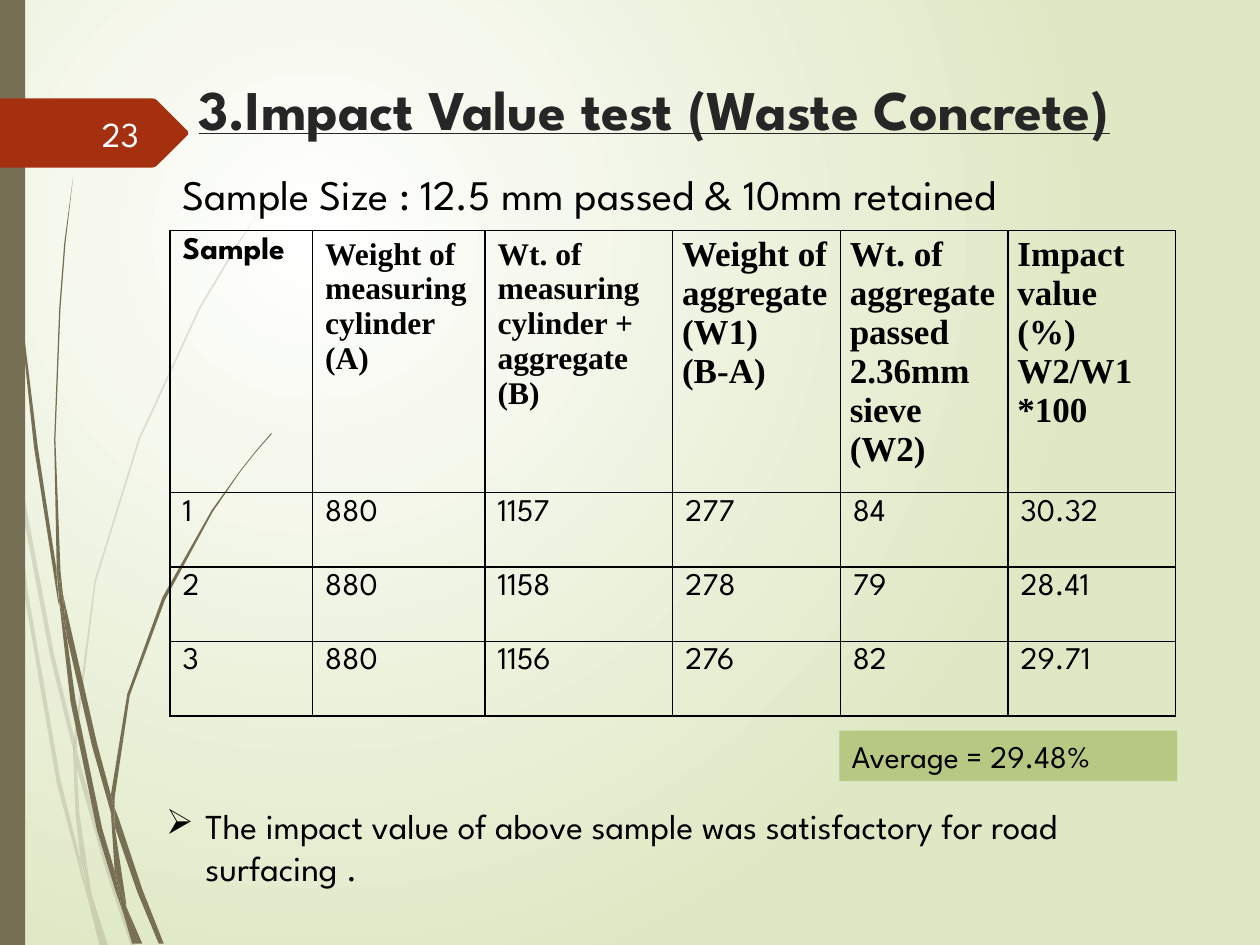
from pptx import Presentation
from pptx.dml.color import RGBColor
from pptx.enum.shapes import MSO_SHAPE
from pptx.enum.text import MSO_ANCHOR, PP_ALIGN
from pptx.oxml import parse_xml
from pptx.oxml.ns import nsdecls, qn
from pptx.util import Cm, Pt

WHITE = RGBColor(0xFF, 0xFF, 0xFF)
PALE_GREEN = RGBColor(0xDF, 0xE8, 0xC4)
LEAF_GREEN = RGBColor(0xB6, 0xC8, 0x82)
OLIVE = RGBColor(0x76, 0x6F, 0x54)
RUST = RGBColor(0xA5, 0x30, 0x10)
CHARCOAL = RGBColor(0x26, 0x26, 0x26)
BLACK = RGBColor(0, 0, 0)
NUMBER_WHITE = RGBColor(0xFE, 0xFF, 0xFF)
SANS = "League Spartan"
SERIF = "Times New Roman"
OUTLINE_UNIT = Cm(0.0254)

FAINT_BLADES = [
    [(8, 350), (6, 322), (0, 282), (0, 299), (7, 344)],
    [(40, 522), (59, 599), (59, 586), (43, 520), (10, 345), (12, 376)],
    [(64, 607), (61, 596), (61, 610), (85, 694), (104, 751), (108, 751), (88, 692)],
    [(83, 751), (86, 751), (73, 711)],
    [(64, 683), (48, 619), (22, 469), (12, 376), (8, 350), (19, 470), (45, 621),
     (64, 693), (70, 714), (69, 707)],
    [(58, 599), (60, 646), (64, 683), (67, 692), (73, 711), (72, 706), (63, 646),
     (61, 610), (61, 608)],
    [(61, 584), (76, 462), (111, 349), (159, 245), (187, 198), (201, 175), (217, 154),
     (217, 153), (201, 175), (186, 197), (158, 244), (110, 348), (75, 461), (59, 584),
     (59, 586), (61, 596)],
    [(70, 714), (79, 751), (82, 751)],
    [(61, 608), (61, 610), (61, 596), (59, 586), (58, 599)],
    [(67, 692), (65, 683), (69, 707), (70, 714), (82, 751), (83, 751), (73, 711)],
]
DARK_BLADES = [
    [(5, 110), (14, 233), (27, 355), (46, 477), (47, 481), (45, 457), (45, 453),
     (30, 355), (15, 232), (6, 109), (4, 48), (3, 0), (2, 0), (3, 48)],
    [(73, 592), (88, 645), (88, 633), (88, 631), (77, 590), (50, 472), (53, 505)],
    [(94, 649), (91, 641), (91, 656), (109, 708), (126, 749), (130, 749), (113, 706)],
    [(91, 691), (81, 657), (60, 556), (53, 505), (47, 477), (56, 557), (77, 659),
     (92, 708), (97, 722), (96, 717)],
    [(50, 472), (48, 453), (44, 349), (48, 245), (52, 193), (58, 141), (51, 193),
     (47, 245), (43, 349), (45, 449), (49, 472)],
    [(110, 749), (113, 749), (100, 719)],
    [(47, 477), (53, 505), (50, 472), (49, 472), (45, 449), (45, 453)],
    [(91, 633), (103, 552), (131, 476), (169, 406), (191, 374), (203, 359), (216, 344),
     (215, 344), (203, 358), (191, 373), (168, 405), (129, 474), (101, 551), (88, 631),
     (91, 641)],
    [(97, 722), (105, 749), (108, 749)],
    [(88, 645), (91, 691), (96, 706), (100, 719), (100, 716), (91, 656), (90, 651)],
    [(88, 645), (90, 651), (91, 656), (91, 641), (88, 631), (88, 633)],
    [(96, 706), (91, 691), (96, 717), (97, 722), (108, 749), (110, 749), (100, 719)],
]
NUMBER_TAG = [(149, 107), (124, 132), (121, 133), (0, 133), (0, 78), (121, 78),
              (124, 79), (149, 104)]

HEADERS = [
    ["Sample"],
    ["Weight of measuring cylinder", "(A)"],
    ["Wt. of measuring cylinder + aggregate", "(B)"],
    ["Weight of aggregate", "(W1)", "(B-A)"],
    ["Wt. of aggregate passed 2.36mm sieve (W2)"],
    ["Impact value", "(%)", "W2/W1 *100"],
]
RESULTS = [
    ["1", "880", "1157", "277", "84", "30.32"],
    ["2", "880", "1158", "278", "79", "28.41"],
    ["3", "880", "1156", "276", "82", "29.71"],
]
COLUMN_WIDTHS = [2.87, 3.48, 3.78, 3.38, 3.38, 3.38]
ROW_HEIGHTS = [4.88, 1.5, 1.5, 1.5]


class SlideBuilder:
    def __init__(self, page):
        self.page = page

    def background(self, inner, outer):
        fill = self.page.background.fill
        fill.gradient()
        for stop, color in zip(fill.gradient_stops, (inner, outer)):
            stop.color.rgb = color
        gradient = self.page.element.find(".//" + qn("a:gradFill"))
        gradient.replace(gradient.find(qn("a:lin")), parse_xml(
            f'<a:path {nsdecls("a")} path="circle"><a:fillToRect l="50000" t="50000" '
            'r="100000" b="100000"/></a:path>'))

    def paint(self, shape, color):
        shape.shadow.inherit = False
        shape.fill.solid()
        shape.fill.fore_color.rgb = color
        shape.line.fill.background()

    def outline(self, points, color, opacity=100):
        builder = self.page.shapes.build_freeform(*points[0], scale=OUTLINE_UNIT)
        builder.add_line_segments(points[1:], close=True)
        shape = builder.convert_to_shape()
        self.paint(shape, color)
        if opacity < 100:
            shape.element.spPr.find(".//" + qn("a:srgbClr")).append(
                parse_xml(f'<a:alpha {nsdecls("a")} val="{opacity * 1000}"/>'))

    def rectangle(self, place, color):
        shape = self.page.shapes.add_shape(MSO_SHAPE.RECTANGLE, *map(Cm, place))
        self.paint(shape, color)
        return shape

    def span(self, para, text, size, color=BLACK, font=SANS, bold=False, underline=False):
        span = para.add_run()
        span.text = text
        span.font.size = Pt(size)
        span.font.name = font
        span.font.bold = bold
        span.font.underline = underline
        span.font.color.rgb = color

    def label(self, box, text, size, align=PP_ALIGN.LEFT, anchor=MSO_ANCHOR.TOP,
              bullet=None, **style):
        frame = box.text_frame
        frame.word_wrap = True
        frame.vertical_anchor = anchor
        para = frame.paragraphs[0]
        para.alignment = align
        if bullet:
            properties = para._p.get_or_add_pPr()
            properties.set("marL", str(Cm(0.79)))
            properties.set("indent", str(-Cm(0.79)))
            properties.append(parse_xml(f'<a:buChar {nsdecls("a")} char="{bullet}"/>'))
        self.span(para, text, size, **style)

    def text(self, place, text, size, **style):
        box = self.page.shapes.add_textbox(*map(Cm, place))
        self.label(box, text, size, **style)

    def cell(self, cell, lines, size, **style):
        cell.fill.background()
        frame = cell.text_frame
        for index, line in enumerate(lines):
            para = frame.add_paragraph() if index else frame.paragraphs[0]
            self.span(para, line, size, **style)
        properties = cell._tc.get_or_add_tcPr()
        for position, side in enumerate(("lnL", "lnR", "lnT", "lnB")):
            properties.insert(position, parse_xml(
                f'<a:{side} {nsdecls("a")} w="{Pt(1)}"><a:solidFill>'
                f'<a:srgbClr val="{BLACK}"/></a:solidFill></a:{side}>'))

    def table(self, left, top, headers, results):
        frame = self.page.shapes.add_table(
            len(ROW_HEIGHTS), len(COLUMN_WIDTHS), Cm(left), Cm(top),
            Cm(sum(COLUMN_WIDTHS)), Cm(sum(ROW_HEIGHTS)))
        table = frame.table
        table.first_row = table.horz_banding = False
        for column, width in zip(table.columns, COLUMN_WIDTHS):
            column.width = Cm(width)
        for row, height in zip(table.rows, ROW_HEIGHTS):
            row.height = Cm(height)
        for index, lines in enumerate(headers):
            cell = table.cell(0, index)
            large = index >= 3
            if large:
                cell.margin_left = cell.margin_right = Cm(0.19)
                cell.margin_top = cell.margin_bottom = Cm(0.1)
            self.cell(cell, lines, 20 if large else 18,
                      font=SERIF if index else SANS, bold=True)
        for number, values in enumerate(results, 1):
            for index, value in enumerate(values):
                self.cell(table.cell(number, index), [value], 18)


def main():
    deck = Presentation()
    deck.slide_width, deck.slide_height = Cm(25.4), Cm(19.05)
    builder = SlideBuilder(deck.slides.add_slide(deck.slide_layouts[6]))
    builder.background(WHITE, PALE_GREEN)
    for blade in FAINT_BLADES:
        builder.outline(blade, OLIVE, opacity=20)
    for blade in DARK_BLADES:
        builder.outline(blade, OLIVE)
    builder.rectangle((0, 0, 0.51, 19.05), OLIVE)
    builder.outline(NUMBER_TAG, RUST)
    builder.text((3.76, 1.37, 21.64, 2.06), "3.Impact Value test (Waste Concrete)", 32,
                 color=CHARCOAL, bold=True, underline=True)
    builder.table(3.43, 4.65, HEADERS, RESULTS)
    builder.text((1.42, 2.18, 1.63, 1.02), "23", 20, color=NUMBER_WHITE,
                 align=PP_ALIGN.RIGHT, anchor=MSO_ANCHOR.MIDDLE)
    average = builder.rectangle((16.92, 14.73, 6.81, 1.02), LEAF_GREEN)
    builder.label(average, "Average = 29.48%", 18)
    builder.text((3.43, 3.28, 20.27, 1.27), "Sample Size : 12.5 mm passed & 10mm retained", 24)
    builder.text((3.1, 16.1, 20.96, 1.96),
                 "The impact value of above sample was satisfactory for road surfacing .", 20,
                 bullet="➢")
    deck.save("out.pptx")


if __name__ == "__main__":
    main()
